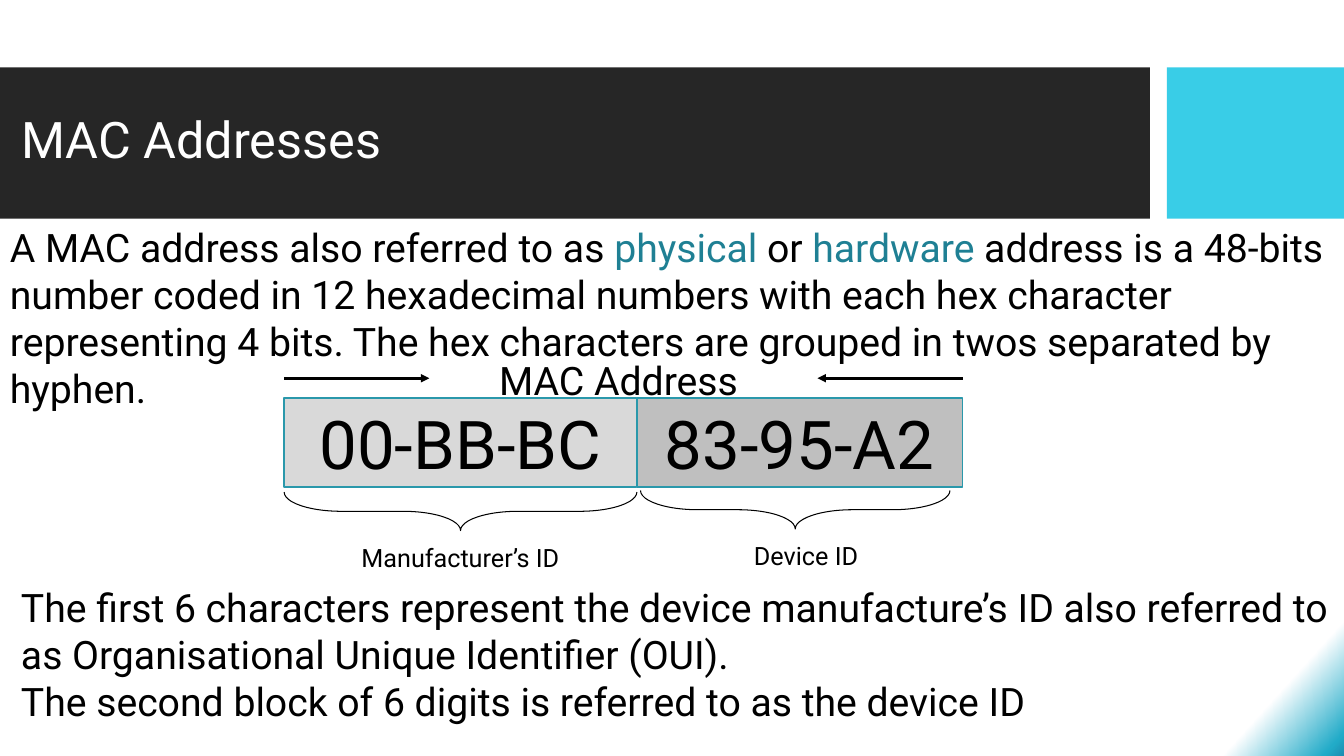
from lxml import etree
from pptx import Presentation
from pptx.dml.color import RGBColor
from pptx.enum import shapes, text
from pptx.oxml import ns
from pptx.util import Cm, Pt

FONT = "Roboto"
COLORS = {
    "black": "000000", "white": "FFFFFF", "title_bar": "262626",
    "accent": "39CDE7", "term": "1F8094", "outline": "2A98AB",
    "maker_fill": "D9D9D9", "device_fill": "BFBFBF",
}
BACKGROUND_STOPS = [(94, "FFFFFF"), (99, "21ABC8"), (100, "1C8DB1"), (100, "0C2263")]
BACKGROUND_ANGLE = 42

SLIDE_WIDTH, SLIDE_HEIGHT = 33.87, 19.05
BLOCK_LEFT, BLOCK_SPLIT, BLOCK_RIGHT = 7.16, 16.05, 24.26
BLOCK_TOP, BLOCK_HEIGHT = 10.03, 2.24
ARROW_Y, ARROW_LENGTH = 9.53, 3.66
BRACE_DEPTH = 0.97


def rgb(name):
    return RGBColor.from_string(COLORS[name])


def add_part(parent, tag, **attributes):
    return etree.SubElement(parent, ns.qn(tag), attributes)


def set_background(slide):
    fill = slide.background.fill
    fill.gradient()
    fill.gradient_angle = 360 - BACKGROUND_ANGLE
    stops = slide.element.find(".//" + ns.qn("a:gsLst"))
    for stop in list(stops):
        stops.remove(stop)
    for percent, color in BACKGROUND_STOPS:
        stop = add_part(stops, "a:gs", pos=str(percent * 1000))
        add_part(stop, "a:srgbClr", val=color)


def write(frame, paragraphs, size, color="black", align=text.PP_ALIGN.LEFT,
          anchor=text.MSO_ANCHOR.TOP):
    """Fill a frame; each paragraph is a string or a list of (text, color) runs."""
    frame.word_wrap = True
    frame.auto_size = text.MSO_AUTO_SIZE.NONE
    frame.vertical_anchor = anchor
    for index, content in enumerate(paragraphs):
        paragraph = frame.add_paragraph() if index else frame.paragraphs[0]
        paragraph.alignment = align
        paragraph.font.name = FONT
        paragraph.font.size = Pt(size)
        if isinstance(content, str):
            paragraph.font.color.rgb = rgb(color)
            content = [(content, color)]
        for words, run_color in content:
            run = paragraph.add_run()
            run.text = words
            run.font.color.rgb = rgb(run_color)


def add_text(slide, left, top, width, height, paragraphs, size, **style):
    box = slide.shapes.add_textbox(Cm(left), Cm(top), Cm(width), Cm(height))
    write(box.text_frame, paragraphs, size, **style)


def add_label(slide, left, top, width, height, label, size):
    add_text(slide, left, top, width, height, [label], size,
             align=text.PP_ALIGN.CENTER, anchor=text.MSO_ANCHOR.MIDDLE)


def add_rectangle(parent, left, top, width, height, fill, outline=None):
    rectangle = parent.shapes.add_shape(
        shapes.MSO_SHAPE.RECTANGLE, Cm(left), Cm(top), Cm(width), Cm(height))
    rectangle.shadow.inherit = False
    rectangle.fill.solid()
    rectangle.fill.fore_color.rgb = rgb(fill)
    if outline:
        rectangle.line.color.rgb = rgb(outline)
        rectangle.line.width = Pt(1)
    else:
        rectangle.line.fill.background()
    return rectangle


def add_address_block(group, left, right, digits, fill):
    block = add_rectangle(group, left, BLOCK_TOP, right - left, BLOCK_HEIGHT,
                          fill, "outline")
    write(block.text_frame, [digits], 48, align=text.PP_ALIGN.CENTER,
          anchor=text.MSO_ANCHOR.MIDDLE)


def add_arrow(slide, start, end):
    arrow = slide.shapes.add_connector(
        shapes.MSO_CONNECTOR.STRAIGHT, Cm(start), Cm(ARROW_Y), Cm(end), Cm(ARROW_Y))
    arrow.line.color.rgb = rgb("black")
    arrow.line.width = Pt(2)
    add_part(arrow.line._get_or_add_ln(), "a:tailEnd", type="triangle")
    add_part(arrow._element.spPr, "a:effectLst")


def add_brace(slide, left, top, width):
    """Add a brace opening upwards; it is a right brace turned about its centre."""
    shift = (width - BRACE_DEPTH) / 2
    brace = slide.shapes.add_shape(
        shapes.MSO_SHAPE.RIGHT_BRACE, Cm(left + shift), Cm(top - shift),
        Cm(BRACE_DEPTH), Cm(width))
    brace.rotation = 90
    brace.adjustments[0] = 1.49
    brace.shadow.inherit = False
    brace.fill.background()
    brace.line.color.rgb = rgb("black")
    brace.line.width = Pt(0.75)


def add_title(slide, title_text):
    title = slide.shapes.title
    title.left, title.top, title.width, title.height = Cm(0.28), Cm(2.08), Cm(28.75), Cm(3)
    write(title.text_frame, [title_text], 36, "white", anchor=text.MSO_ANCHOR.MIDDLE)
    title.text_frame.paragraphs[0].line_spacing = 0.9
    # Bring the title in front of its bar
    slide.shapes._spTree.append(title._element)


def main():
    deck = Presentation()
    deck.slide_width, deck.slide_height = Cm(SLIDE_WIDTH), Cm(SLIDE_HEIGHT)
    slide = deck.slides.add_slide(deck.slide_layouts[5])
    set_background(slide)

    add_rectangle(slide, 0, 1.7, 28.98, 3.81, "title_bar")
    add_rectangle(slide, 29.41, 1.7, 4.46, 3.81, "accent")
    add_title(slide, "MAC Addresses")

    add_text(slide, 0, 5.51, SLIDE_WIDTH, 13.54, [[
        ("A MAC address also referred to as ", "black"),
        ("physical", "term"),
        (" or ", "black"),
        ("hardware", "term"),
        (" address is a 48-bits number coded in 12 hexadecimal numbers with each "
         "hex character representing 4 bits. The hex characters are grouped in "
         "twos separated by hyphen.", "black"),
    ]], 28)

    address = slide.shapes.add_group_shape()
    add_address_block(address, BLOCK_LEFT, BLOCK_SPLIT, "00-BB-BC", "maker_fill")
    add_address_block(address, BLOCK_SPLIT, BLOCK_RIGHT, "83-95-A2", "device_fill")

    add_arrow(slide, BLOCK_LEFT, BLOCK_LEFT + ARROW_LENGTH)
    add_arrow(slide, BLOCK_RIGHT, BLOCK_RIGHT - ARROW_LENGTH)
    add_label(slide, BLOCK_LEFT + ARROW_LENGTH, 9.12, 9.78, 0.89, "MAC Address ", 28)

    add_brace(slide, BLOCK_LEFT, 12.4, BLOCK_SPLIT - BLOCK_LEFT)
    add_brace(slide, 16.14, 12.36, 7.8)
    add_label(slide, BLOCK_LEFT, 13.51, 8.89, 1.09, "Manufacturer’s ID", 18)
    add_label(slide, 16.38, 13.46, 7.87, 1.09, "Device ID", 18)

    add_text(slide, 0.28, 14.58, 33.6, 4.47, [
        "The first 6 characters represent the device manufacture’s ID also "
        "referred to as Organisational Unique Identifier (OUI).",
        "The second block of 6 digits is referred to as the device ID",
    ], 28)

    deck.save("out.pptx")


if __name__ == "__main__":
    main()
